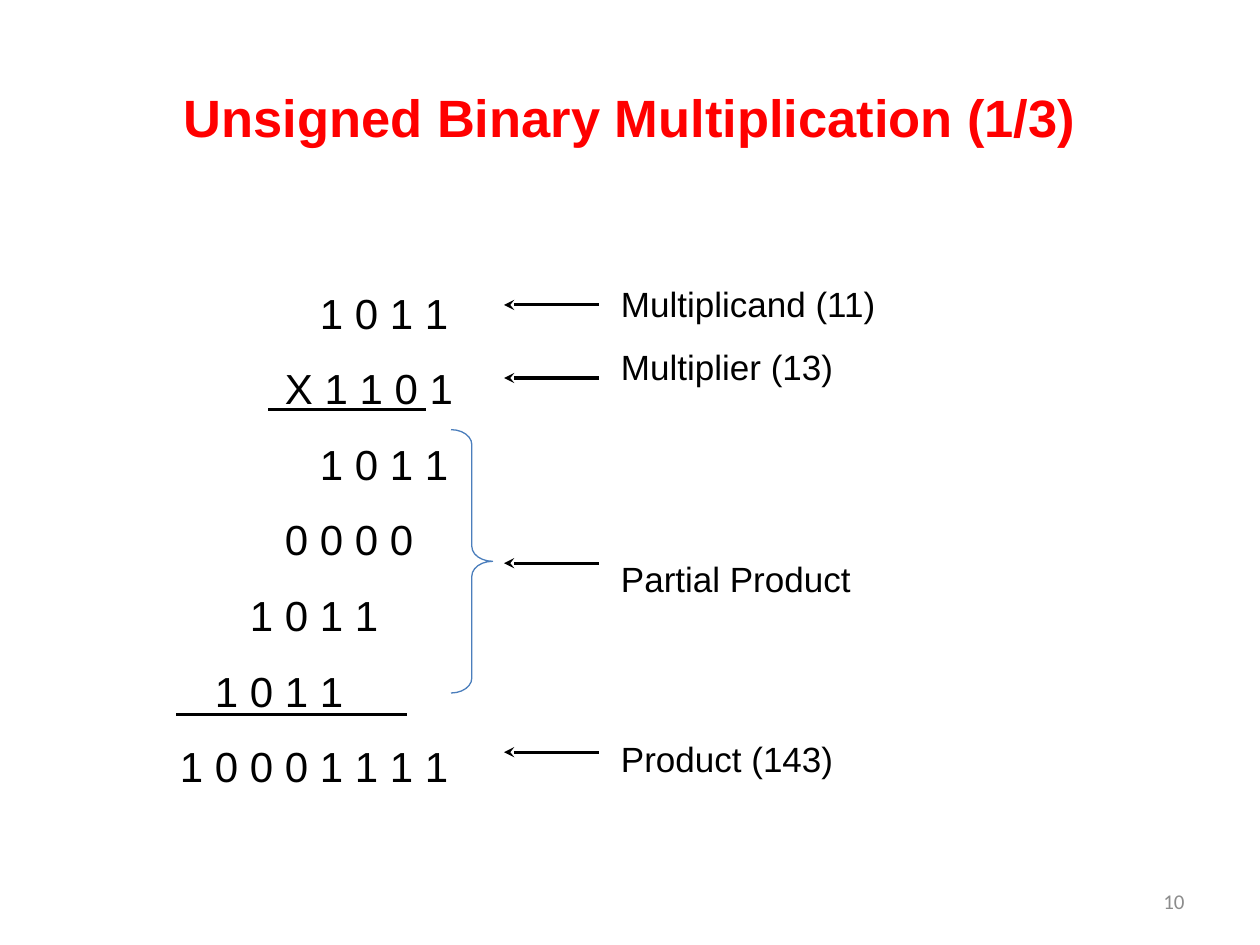
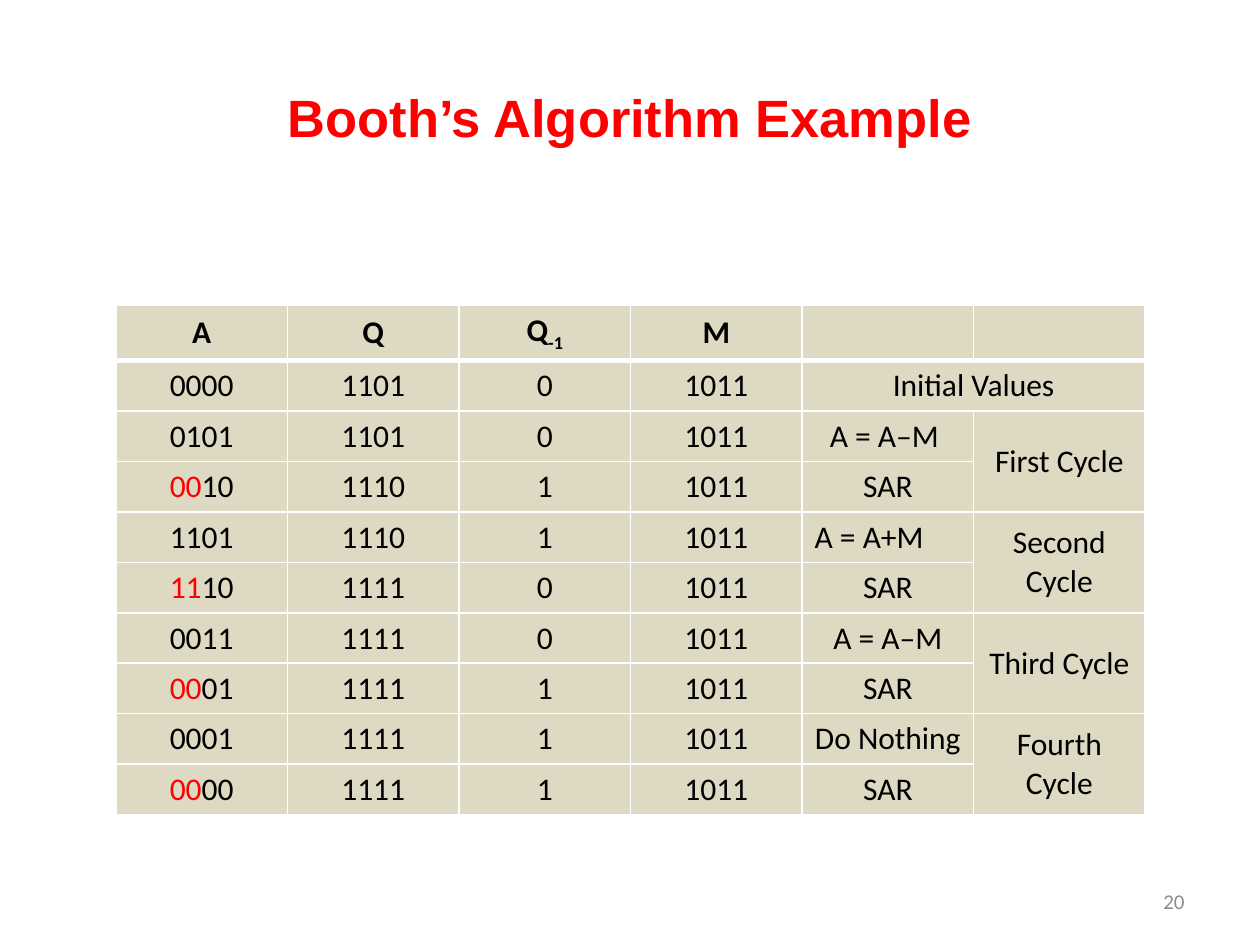
from dataclasses import dataclass

from lxml.etree import SubElement
from pptx import Presentation
from pptx.dml.color import RGBColor as RGB
from pptx.enum.shapes import MSO_CONNECTOR as CONN, MSO_SHAPE as SHAPE
from pptx.enum.text import MSO_ANCHOR as ANCHOR, PP_ALIGN as ALIGN
from pptx.oxml.ns import qn
from pptx.util import Inches, Pt


@dataclass(frozen=True)
class Theme:
    red: RGB = RGB(0xFF, 0, 0)
    black: RGB = RGB(0, 0, 0)
    white: RGB = RGB(0xFF, 0xFF, 0xFF)
    grey: RGB = RGB(0x8C, 0x8C, 0x8C)
    brace: RGB = RGB(0x4B, 0x7E, 0xBC)
    cell: RGB = RGB(0xDD, 0xD9, 0xC3)
    sans: str = "Arial"
    body: str = "Calibri"
    title_size: int = 30
    digit_size: int = 24
    label_size: int = 20
    table_size: int = 18
    number_size: int = 12


T = Theme()


def set_font(p, name, size, color, bold=False, align=ALIGN.LEFT):
    p.alignment = align
    f = p.font
    f.name, f.size, f.bold = name, Pt(size), bold
    f.color.rgb = color


def add_text(s, at, lines, name, size, color, bold=False, align=ALIGN.LEFT,
             anchor=ANCHOR.TOP, spacing=None):
    tf = s.shapes.add_textbox(*map(Inches, at)).text_frame
    tf.word_wrap = True
    tf.vertical_anchor = anchor
    tf.text = "\n".join(lines)
    for p in tf.paragraphs:
        set_font(p, name, size, color, bold, align)
        p.line_spacing = spacing
    return tf


prs = Presentation()
prs.slide_width, prs.slide_height = Inches(10), Inches(7.5)

# Titles and slide numbers
slides = []
for title, number in (("Unsigned Binary Multiplication (1/3)", "10"),
                      ("Booth’s Algorithm Example", "20")):
    s = prs.slides.add_slide(prs.slide_layouts[6])
    add_text(s, (0.5, 0.3, 9, 1.25), [title], T.sans, T.title_size, T.red,
             True, ALIGN.CENTER, ANCHOR.MIDDLE)
    add_text(s, (7.17, 6.95, 2.33, 0.4), [number], T.body, T.number_size, T.grey,
             False, ALIGN.RIGHT, ANCHOR.MIDDLE)
    slides.append(s)
multiplication, booth = slides

# Long multiplication: each row is indented by whole digit columns
digit_rows = (("1 0 1 1", 4), ("X 1 1 0 1", 3), ("1 0 1 1", 4), ("0 0 0 0", 3),
              ("1 0 1 1", 2), ("1 0 1 1", 1), ("1 0 0 0 1 1 1 1", 0))
digit_column = Pt(20)
tf = add_text(multiplication, (1.33, 2.03, 2.6, 4.27), [row for row, _ in digit_rows],
              T.sans, T.digit_size, T.black, spacing=1.5)
for p, (_, columns) in zip(tf.paragraphs, digit_rows):
    pPr = p._p.get_or_add_pPr()
    pPr.set("marL", str(columns * digit_column))
    pPr.set("indent", "0")

# Row labels
for top, height, labels in ((2.03, 1.05, ["Multiplicand (11)", "Multiplier (13)"]),
                            (4.21, 0.54, ["Partial Product"]),
                            (5.64, 0.61, ["Product (143)"])):
    add_text(multiplication, (4.83, top, 2.3, height), labels,
             T.sans, T.label_size, T.black, spacing=1.5)

# Sum rules, then arrows from the labels
rules = [(2.13, 3.38, 3.25, False), (1.4, 3.23, 5.67, False)]
arrows = [(4.75, 4, y, True) for y in (2.42, 3, 4.47, 5.97)]
for x1, x2, y, has_head in rules + arrows:
    sp = multiplication.shapes.add_connector(
        CONN.STRAIGHT, Inches(x1), Inches(y), Inches(x2), Inches(y))
    sp.line.color.rgb = T.black
    sp.line.width = Pt(1.75)
    if has_head:
        SubElement(sp.line._get_or_add_ln(), qn("a:tailEnd"), type="stealth")
    SubElement(sp._element.spPr, qn("a:effectLst"))

# Brace around the partial products
sp = multiplication.shapes.add_shape(
    SHAPE.RIGHT_BRACE, Inches(3.58), Inches(3.41), Inches(0.33), Inches(2.09))
sp.adjustments[0], sp.adjustments[1] = 0.36, 0.5
sp.shadow.inherit = False
sp.fill.background()
sp.line.color.rgb = T.brace
sp.line.width = Pt(0.75)

# Booth's algorithm table
steps = (
    ("A", "Q", "Q", "M", "", ""),
    ("0000", "1101", "0", "1011", "Initial Values", ""),
    ("0101", "1101", "0", "1011", "A = A–M ", "First Cycle"),
    ("0010", "1110", "1", "1011", "SAR", ""),
    ("1101", "1110", "1", "1011", "A = A+M", "Second Cycle"),
    ("1110", "1111", "0", "1011", "SAR", ""),
    ("0011", "1111", "0", "1011", "A = A–M", "Third Cycle"),
    ("0001", "1111", "1", "1011", "SAR", ""),
    ("0001", "1111", "1", "1011", "Do Nothing", "Fourth Cycle"),
    ("0000", "1111", "1", "1011", "SAR", ""),
)
table = booth.shapes.add_table(len(steps), len(steps[0]), Inches(0.92), Inches(2.42),
                               Inches(8.17), Inches(4.08)).table
table.horz_banding = False
for i, row in enumerate(table.rows):
    row.height = Inches(0.4 if i else 0.43)

for i, step in enumerate(steps):
    for j, value in enumerate(step):
        cell = table.cell(i, j)
        cell.vertical_anchor = ANCHOR.MIDDLE
        p = cell.text_frame.paragraphs[0]
        align = ALIGN.LEFT if value == "A = A+M" else ALIGN.CENTER
        set_font(p, T.body, T.table_size, T.black, i == 0, align)
        # The two leading bits of A after each shift are red
        shifted = j == 0 and "SAR" in step
        for part in ((value[:2], value[2:]) if shifted else (value,)):
            if part:
                p.add_run().text = part
        if shifted:
            p.runs[0].font.color.rgb = T.red

        # White borders, thicker under the header
        tcPr = cell._tc.get_or_add_tcPr()
        for side in "LRTB":
            thick = (i, side) in ((0, "B"), (1, "T"))
            ln = SubElement(tcPr, qn(f"a:ln{side}"), w=str(Pt(3 if thick else 1)))
            fill = SubElement(ln, qn("a:solidFill"))
            SubElement(fill, qn("a:srgbClr"), val=str(T.white))
        cell.fill.solid()
        cell.fill.fore_color.rgb = T.cell

# Subscript of the Q-1 heading
r = table.cell(0, 2).text_frame.paragraphs[0].add_run()
r.text = "-1"
r._r.get_or_add_rPr().set("baseline", "-25000")

# Merged cells: initial values across, cycles down
table.cell(1, 4).merge(table.cell(1, 5))
for i in range(2, len(steps), 2):
    table.cell(i, 5).merge(table.cell(i + 1, 5))

prs.save("out.pptx")
